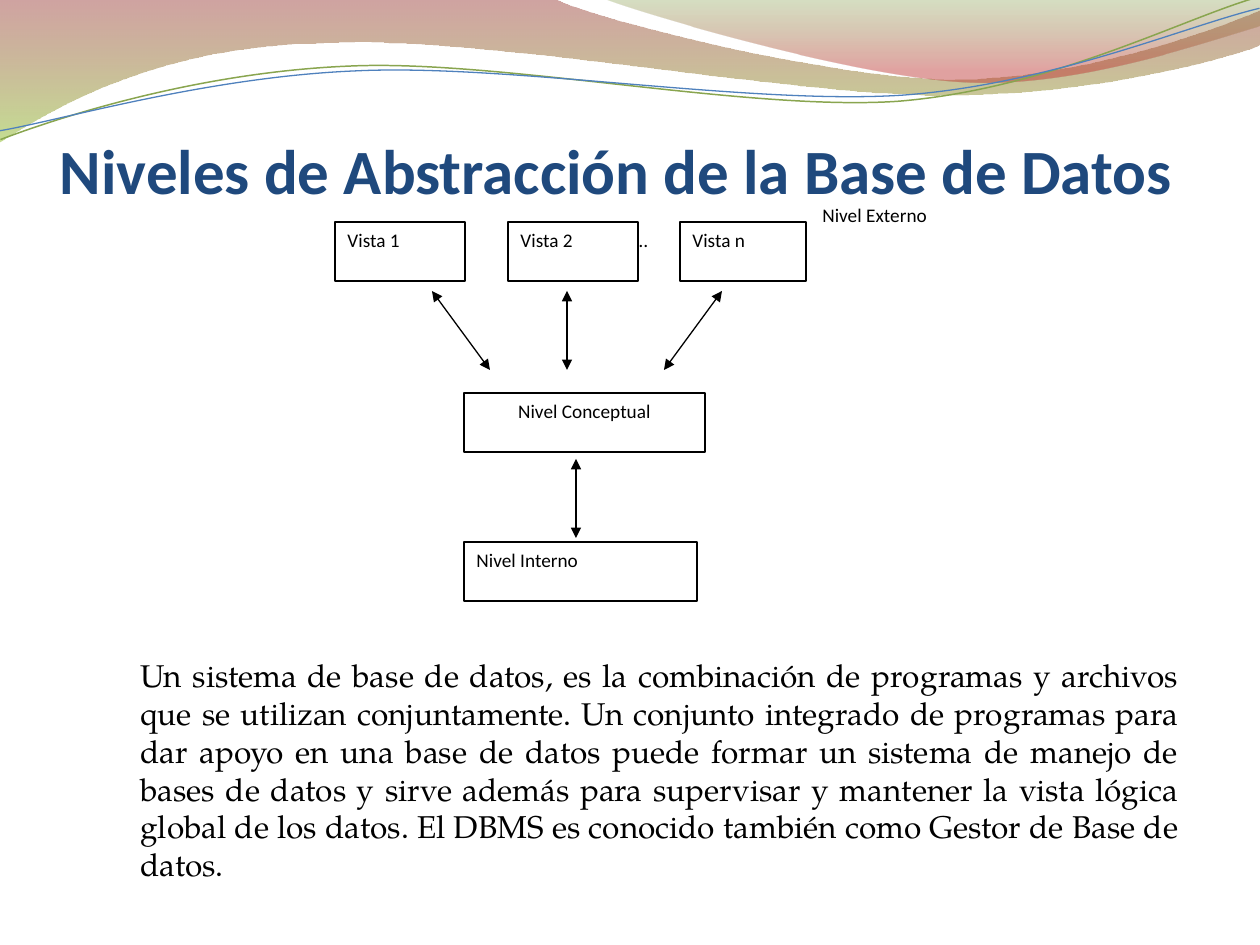
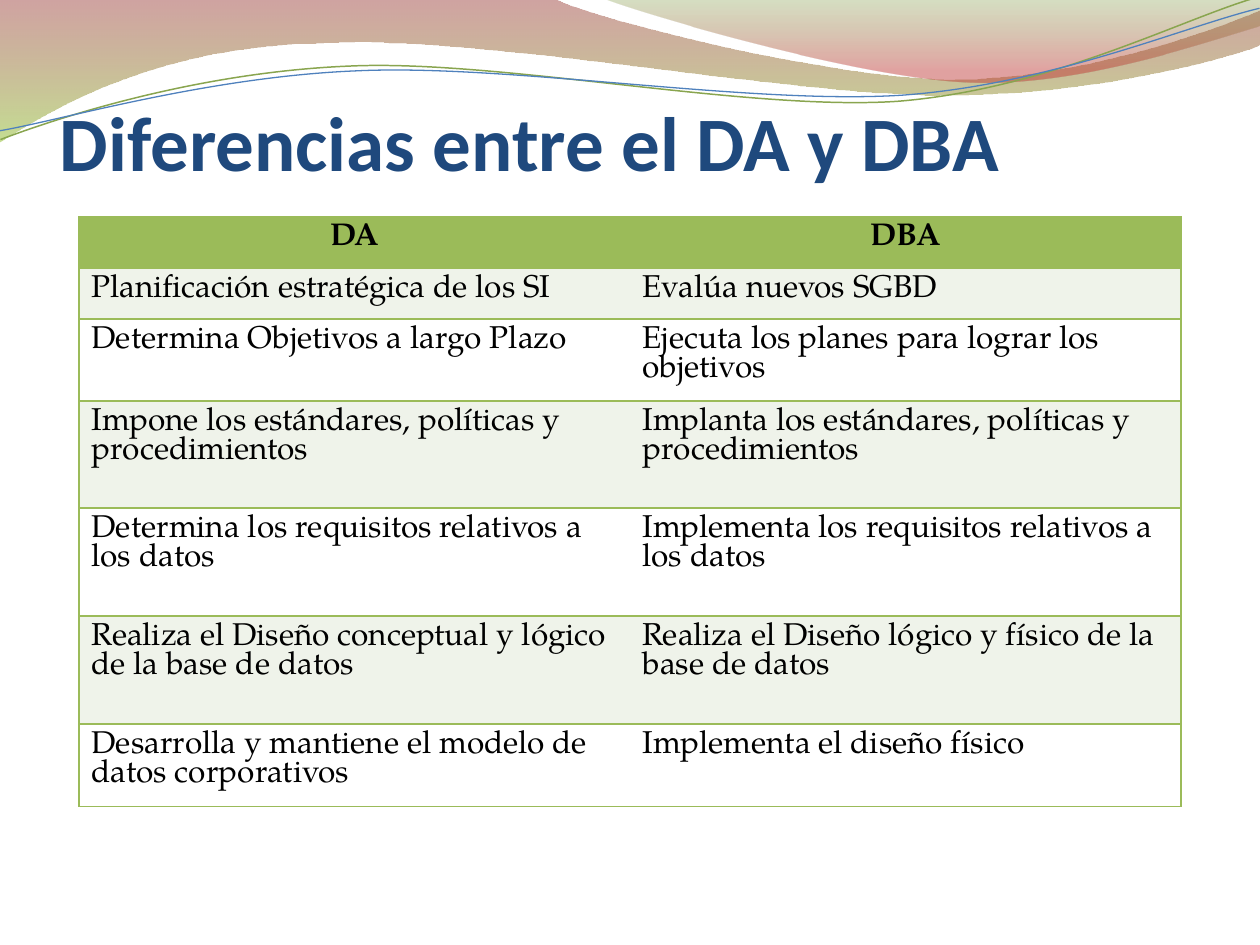
from dataclasses import dataclass
from itertools import chain
from typing import NamedTuple

from lxml.etree import SubElement
from pptx import Presentation
from pptx.dml.color import RGBColor
from pptx.enum.shapes import MSO_CONNECTOR, MSO_SHAPE
from pptx.enum.text import MSO_ANCHOR, MSO_AUTO_SIZE, PP_ALIGN
from pptx.oxml.ns import qn
from pptx.util import Emu, Pt

PX_PER_INCH = 126
EMU_PER_PX = 914400 / PX_PER_INCH

COLORS = {
    "white": "FFFFFF", "ink": "000000", "title": "1F497D",
    "header": "9BBB59", "band": "EFF3EA",
    "wine": "973330", "lime": "95C238", "olive": "769537", "coral": "BE3330",
    "green line": "89A54F", "blue line": "4F81BD",
}
FONTS = {
    "title": {"name": "Calibri", "bold": True},
    "label": {"name": "Calibri", "size": Pt(11), "bold": False},
    "body": {"name": "TeX Gyre Pagella", "size": Pt(18), "bold": False},
    "heading": {"name": "TeX Gyre Pagella", "size": Pt(18), "bold": True},
}

Point = tuple[int, int]


class Stop(NamedTuple):
    color: str
    position: float
    opacity: int


@dataclass(frozen=True)
class Wave:
    """Segments of one point are straight, segments of three are Bezier curves."""
    start: Point
    segments: tuple[tuple[Point, ...], ...]
    stops: tuple[Stop, ...] = ()
    line: str = ""
    weight: float = 0
    rotation: float = 0


class Box(NamedTuple):
    text: str
    left: int
    top: int
    width: int
    height: int = 59
    outlined: bool = True
    align: PP_ALIGN = PP_ALIGN.LEFT


class Arrow(NamedTuple):
    start: Point
    end: Point


WAVES = (
    Wave((0, 0), (
        ((554, -1),),
        ((600, 21), (837, 79), (955, 79)),
        ((1075, 79), (1207, 33), (1260, 11)),
        ((1261, 45),),
        ((1239, 55), (1096, 96), (940, 95)),
        ((784, 95), (481, 35), (324, 43)),
        ((163, 45), (58, 105), (-1, 142)),
        ((0, 0),),
    ), stops=(Stop("wine", 0, 45), Stop("lime", 1, 55))),
    Wave((604, -1), (
        ((641, 14), (859, 78), (969, 82)),
        ((1079, 87), (1211, 40), (1260, 26)),
        ((1260, 0),),
        ((604, -1),),
    ), stops=(Stop("olive", 0, 30), Stop("coral", 0.8, 45))),
    Wave((-2, 110), (
        ((59, 90), (199, 52), (350, 53)),
        ((499, 53), (745, 117), (896, 114)),
        ((1049, 109), (1184, 45), (1260, 27)),
    ), line="green line", weight=0.85, rotation=357.3),
    Wave((-2, 101), (
        ((57, 94), (207, 57), (357, 58)),
        ((509, 58), (750, 111), (902, 108)),
        ((1052, 104), (1188, 52), (1262, 38)),
    ), line="blue line", weight=0.75, rotation=357.3),
)

VIEWS_TOP = 222
LEVEL_BOXES = (
    Box("…", 622, VIEWS_TOP, 116, outlined=False),
    Box("Vista 1", 335, VIEWS_TOP, 130),
    Box("Vista 2", 508, VIEWS_TOP, 130),
    Box("Vista n", 680, VIEWS_TOP, 126),
    Box("Nivel Conceptual", 464, 393, 241, align=PP_ALIGN.CENTER),
    Box("Nivel Interno", 464, 542, 233),
    Box("Nivel Externo", 810, 197, 136, 98, outlined=False),
)
LEVEL_ARROWS = (
    Arrow((432, 291), (490, 370)),
    Arrow((722, 291), (664, 370)),
    Arrow((567, 291), (567, 370)),
    Arrow((576, 459), (576, 538)),
)
DBMS_TEXT = (
    "Un sistema de base de datos, es la combinación de programas y archivos que se "
    "utilizan conjuntamente. Un conjunto integrado de programas para dar apoyo en una "
    "base de datos puede formar un sistema de manejo de bases de datos y sirve además "
    "para supervisar y mantener la vista lógica global de los datos. El DBMS es conocido "
    "también como Gestor de Base de datos."
)
DIFFERENCES = (
    ("DA", "DBA"),
    ("Planificación estratégica de los SI", "Evalúa nuevos SGBD"),
    ("Determina Objetivos a largo Plazo", "Ejecuta los planes para lograr los objetivos"),
    ("Impone los estándares, políticas y procedimientos",
     "Implanta los estándares, políticas y procedimientos"),
    ("Determina los requisitos relativos a los datos",
     "Implementa los requisitos relativos a los datos"),
    ("Realiza el Diseño conceptual y lógico de la base de datos",
     "Realiza el Diseño lógico y físico de la base de datos"),
    ("Desarrolla y mantiene el modelo de datos corporativos",
     "Implementa el diseño físico"),
)
ROW_HEIGHTS = (51, 51, 76, 107, 108, 108, 76)
COLUMN_WIDTH = 551


def px(length: int) -> Emu:
    return Emu(round(length * EMU_PER_PX))


def rgb(color: str) -> RGBColor:
    return RGBColor.from_string(COLORS[color])


def apply(target, values: dict) -> None:
    for attribute, value in values.items():
        setattr(target, attribute, value)


def write(frame, text: str, font: str, color: str = "ink", **paragraph_format):
    paragraph = frame.paragraphs[0]
    apply(paragraph, paragraph_format)
    run = paragraph.add_run()
    run.text = text
    apply(run.font, FONTS[font])
    run.font.color.rgb = rgb(color)
    return run


def bend(shape, segments: tuple[tuple[Point, ...], ...]) -> None:
    """Join the straight pieces of each three-point segment into one curve."""
    pieces = iter(list(shape._element.iter(qn("a:lnTo"))))
    for segment in segments:
        first, *others = [next(pieces) for _ in segment]
        if others:
            first.tag = qn("a:cubicBezTo")
            for other in others:
                first.append(other[0])
                other.getparent().remove(other)


def draw_wave(slide, wave: Wave):
    builder = slide.shapes.build_freeform(*map(px, wave.start))
    corners = [(px(x), px(y)) for x, y in chain.from_iterable(wave.segments)]
    builder.add_line_segments(corners, close=bool(wave.stops))
    shape = builder.convert_to_shape()
    bend(shape, wave.segments)
    shape.rotation = wave.rotation
    shape.shadow.inherit = False
    if wave.line:
        shape.fill.background()
        shape.line.color.rgb = rgb(wave.line)
        shape.line.width = Pt(wave.weight)
        return shape
    shape.line.fill.background()
    shape.fill.gradient()
    shape.fill.gradient_angle = 270
    for gradient_stop, stop in zip(shape.fill.gradient_stops, wave.stops):
        gradient_stop.color.rgb = rgb(stop.color)
        gradient_stop.position = stop.position
    colors = shape._element.spPr.iter(qn("a:srgbClr"))
    for color, stop in zip(colors, wave.stops):
        SubElement(color, qn("a:alpha"), val=str(stop.opacity * 1000))
    return shape


def move_waves_to_master(deck, slide) -> None:
    """Build the waves on a slide, where freeforms can be made, then share them."""
    master_tree = deck.slide_master.shapes._spTree
    for wave in WAVES:
        master_tree.append(draw_wave(slide, wave)._element)


def add_titled_slide(deck, title: str, size: int, top: int, height: int):
    slide = deck.slides.add_slide(deck.slide_layouts[6])
    frame = slide.shapes.add_textbox(px(60), px(top), px(1134), px(height)).text_frame
    apply(frame, {"word_wrap": True, "vertical_anchor": MSO_ANCHOR.BOTTOM,
                  "margin_left": 0, "margin_right": 0, "margin_bottom": 0})
    write(frame, title, "title", "title").font.size = Pt(size)
    return slide


def draw_box(slide, box: Box) -> None:
    shape = slide.shapes.add_shape(
        MSO_SHAPE.RECTANGLE, *map(px, (box.left, box.top, box.width, box.height)))
    shape.shadow.inherit = False
    shape.fill.solid()
    shape.fill.fore_color.rgb = rgb("white")
    if box.outlined:
        shape.line.color.rgb = rgb("ink")
        shape.line.width = Pt(0.75)
    else:
        shape.line.fill.background()
    apply(shape.text_frame, {"word_wrap": True, "vertical_anchor": MSO_ANCHOR.TOP})
    write(shape.text_frame, box.text, "label", alignment=box.align, space_after=Pt(10))


def draw_arrow(slide, arrow: Arrow) -> None:
    connector = slide.shapes.add_connector(
        MSO_CONNECTOR.STRAIGHT, *map(px, (*arrow.start, *arrow.end)))
    connector.line.color.rgb = rgb("ink")
    connector.line.width = Pt(0.75)
    line = connector.line._get_or_add_ln()
    for end in ("a:headEnd", "a:tailEnd"):
        SubElement(line, qn(end), type="triangle")
    SubElement(connector._element.spPr, qn("a:effectLst"))


def set_borders(cell, edges: dict[str, bool]) -> None:
    """Draw the edges that are True and clear the others; call before filling."""
    properties = cell._tc.get_or_add_tcPr()
    for edge, visible in edges.items():
        line = SubElement(properties, qn(f"a:ln{edge}"), w=str(Pt(1)))
        if visible:
            fill = SubElement(line, qn("a:solidFill"))
            SubElement(fill, qn("a:srgbClr"), val=COLORS["header"])
        else:
            SubElement(line, qn("a:noFill"))


def draw_differences(slide) -> None:
    table = slide.shapes.add_table(
        len(DIFFERENCES), 2, px(79), px(217), px(2 * COLUMN_WIDTH), px(sum(ROW_HEIGHTS))).table
    table.horz_banding = False
    for column in table.columns:
        column.width = px(COLUMN_WIDTH)
    for r, (texts, height) in enumerate(zip(DIFFERENCES, ROW_HEIGHTS)):
        table.rows[r].height = px(height)
        fill = "header" if r == 0 else "band" if r % 2 else "white"
        for c, text in enumerate(texts):
            cell = table.cell(r, c)
            set_borders(cell, {"L": c == 0, "R": c == 1, "T": True, "B": True})
            cell.fill.solid()
            cell.fill.fore_color.rgb = rgb(fill)
            write(cell.text_frame, text, "body" if r else "heading", line_spacing=0.92,
                  alignment=PP_ALIGN.LEFT if r else PP_ALIGN.CENTER)


def build_levels_slide(deck):
    slide = add_titled_slide(deck, "Niveles de Abstracción de la Base de Datos", 36, 49, 158)
    for box in LEVEL_BOXES:
        draw_box(slide, box)
    for arrow in LEVEL_ARROWS:
        draw_arrow(slide, arrow)
    frame = slide.shapes.add_textbox(px(128), px(650), px(1063), px(204)).text_frame
    apply(frame, {"word_wrap": True, "auto_size": MSO_AUTO_SIZE.SHAPE_TO_FIT_TEXT})
    write(frame, DBMS_TEXT, "body", alignment=PP_ALIGN.JUSTIFY)
    return slide


def build_differences_slide(deck) -> None:
    slide = add_titled_slide(deck, "Diferencias entre el DA y DBA", 44, 69, 118)
    draw_differences(slide)


def main() -> None:
    deck = Presentation()
    deck.slide_width, deck.slide_height = px(1260), px(945)
    levels = build_levels_slide(deck)
    move_waves_to_master(deck, levels)
    build_differences_slide(deck)
    deck.save("out.pptx")


if __name__ == "__main__":
    main()
